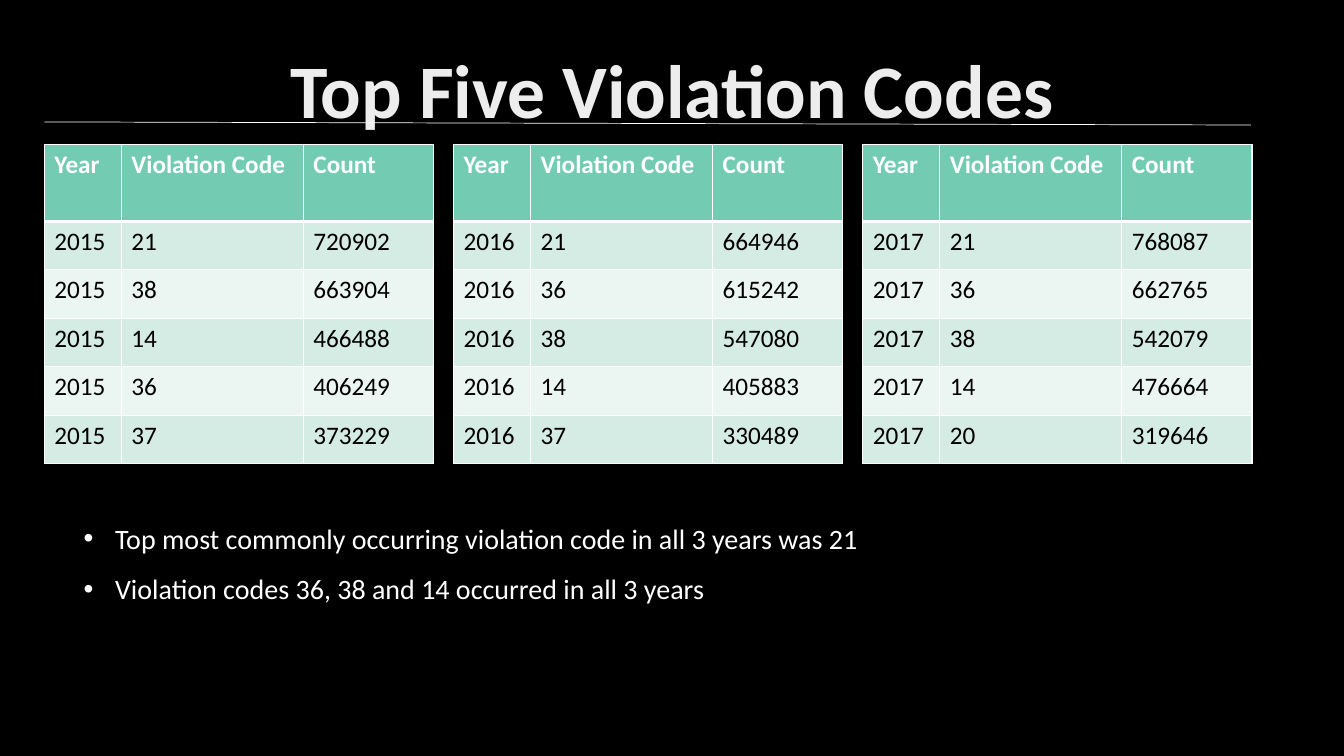
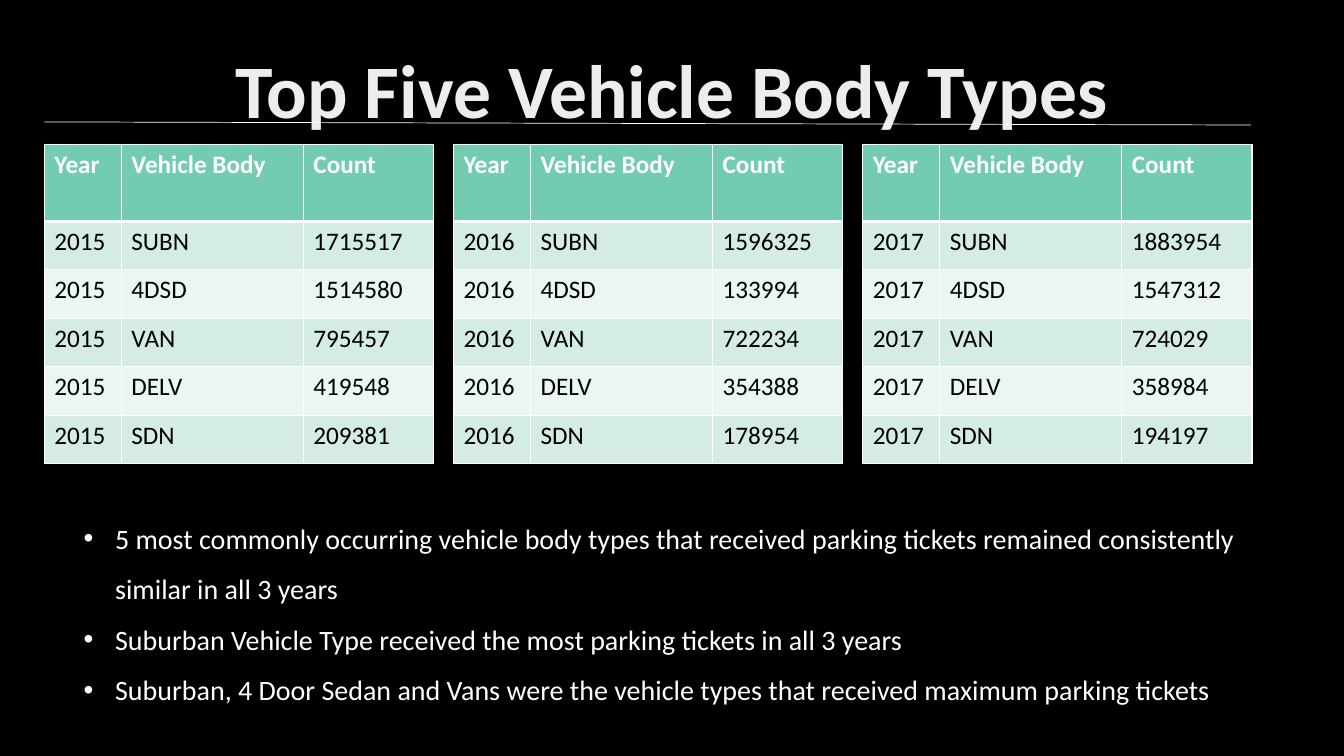
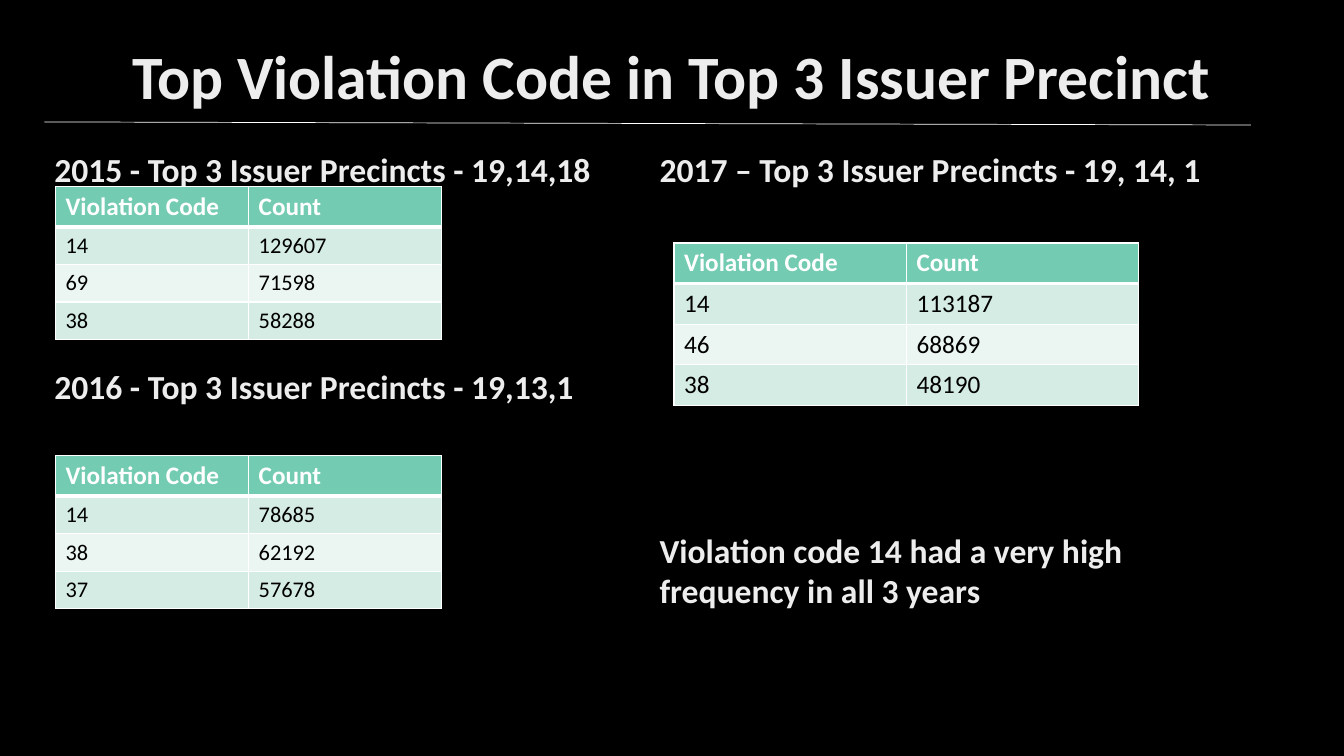
"""Build three slides of parking violation tables on a black background."""
from lxml.etree import SubElement
from pptx import Presentation
from pptx.dml.color import RGBColor
from pptx.enum.shapes import MSO_CONNECTOR
from pptx.enum.text import MSO_ANCHOR, MSO_AUTO_SIZE, PP_ALIGN
from pptx.oxml import parse_xml
from pptx.oxml.ns import nsdecls, qn
from pptx.util import Pt

BLACK = RGBColor(0x00, 0x00, 0x00)
WHITE = RGBColor(0xFF, 0xFF, 0xFF)
SILVER = RGBColor(0xED, 0xED, 0xED)
TEAL = RGBColor(0x73, 0xCB, 0xB2)
BANDS = (RGBColor(0xD5, 0xEC, 0xE4), RGBColor(0xEB, 0xF6, 0xF2))
FONT = "Calibri"

LEFT = 31.7
TABLE_TOP = 103
YEAR_PITCH = 292.3
YEAR_COLUMNS = (55, 130, 93)
YEAR_ROWS = (55.2, 34.6)
BULLET_INDENT = 22.5

YEAR_SLIDES = [
    {
        "title": "Top Five Violation Codes",
        "column": "Violation Code",
        "years": {
            "2015": [("21", "720902"), ("38", "663904"), ("14", "466488"),
                     ("36", "406249"), ("37", "373229")],
            "2016": [("21", "664946"), ("36", "615242"), ("38", "547080"),
                     ("14", "405883"), ("37", "330489")],
            "2017": [("21", "768087"), ("36", "662765"), ("38", "542079"),
                     ("14", "476664"), ("20", "319646")],
        },
        "findings": [
            "Top most commonly occurring violation code in all 3 years was 21",
            "Violation codes 36, 38 and 14 occurred in all 3 years",
        ],
        "findings_height": 77,
    },
    {
        "title": "Top Five Vehicle Body Types",
        "column": "Vehicle Body",
        "years": {
            "2015": [("SUBN", "1715517"), ("4DSD", "1514580"), ("VAN", "795457"),
                     ("DELV", "419548"), ("SDN", "209381")],
            "2016": [("SUBN", "1596325"), ("4DSD", "133994"), ("VAN", "722234"),
                     ("DELV", "354388"), ("SDN", "178954")],
            "2017": [("SUBN", "1883954"), ("4DSD", "1547312"), ("VAN", "724029"),
                     ("DELV", "358984"), ("SDN", "194197")],
        },
        "findings": [
            "5 most commonly occurring vehicle body types that received parking "
            "tickets remained consistently similar in all 3 years",
            "Suburban Vehicle Type received the most parking tickets in all 3 years",
            "Suburban, 4 Door Sedan and Vans were the vehicle types that received "
            "maximum parking tickets",
        ],
        "findings_height": 153,
    },
]

PRECINCT_TITLE = "Top Violation Code in Top 3 Issuer Precinct"
PRECINCT_HEADER = ("Violation Code", "Count")
PRECINCT_TEXTS = [
    ("2015 - Top 3 Issuer Precincts - 19,14,18", LEFT, 103, 37),
    ("2016 - Top 3 Issuer Precincts - 19,13,1", LEFT, 258, 37),
    ("2017 – Top 3 Issuer Precincts - 19, 14, 1", 464, 103, 37),
    ("Violation code 14 had a very high frequency in all 3 years", 464, 375, 66),
]
PRECINCT_TABLES = [
    {"rows": [("14", "129607"), ("69", "71598"), ("38", "58288")],
     "at": (39.6, 133.2), "columns": (138, 138), "heights": (29, 26.8), "size": 16},
    {"rows": [("14", "78685"), ("38", "62192"), ("37", "57678")],
     "at": (39.6, 325.5), "columns": (138, 138), "heights": (29, 26.8), "size": 16},
    {"rows": [("14", "113187"), ("46", "68869"), ("38", "48190")],
     "at": (481.5, 173.5), "columns": (166, 166), "heights": (29, 29), "size": 18},
]


def set_font(paragraph, size, color, bold=False):
    font = paragraph.font
    font.name, font.size, font.bold = FONT, Pt(size), bold
    font.color.rgb = color


def add_titled_slide(prs, text, size, bottom_inset):
    slide = prs.slides.add_slide(prs.slide_layouts[5])
    title = slide.shapes.title
    title.left, title.top, title.width, title.height = Pt(66), Pt(29), Pt(828), Pt(104)
    frame = title.text_frame
    frame.text = text
    frame.auto_size = MSO_AUTO_SIZE.NONE
    frame.vertical_anchor = MSO_ANCHOR.MIDDLE
    frame.margin_bottom = Pt(bottom_inset)
    heading = frame.paragraphs[0]
    heading.alignment = PP_ALIGN.CENTER
    heading.line_spacing = 0.9
    set_font(heading, size, SILVER, True)

    rule = slide.shapes.add_connector(
        MSO_CONNECTOR.STRAIGHT, Pt(LEFT), Pt(87.1), Pt(893.5), Pt(89.3))
    rule.line.color.rgb = WHITE
    rule.line.width = Pt(0.5)
    SubElement(rule._element.spPr, qn("a:effectLst"))
    return slide


def set_borders(cell, top, bottom):
    properties = cell._tc.get_or_add_tcPr()
    sides = (("lnL", 1), ("lnR", 1), ("lnT", top), ("lnB", bottom))
    for position, (side, width) in enumerate(sides):
        properties.insert(position, parse_xml(
            f'<a:{side} {nsdecls("a")} w="{Pt(width)}"><a:solidFill>'
            f'<a:srgbClr val="{WHITE}"/></a:solidFill></a:{side}>'))


def add_data_table(slide, header, rows, at, columns, heights, size):
    header_height, row_height = heights
    table = slide.shapes.add_table(
        len(rows) + 1, len(columns), Pt(at[0]), Pt(at[1]), Pt(sum(columns)),
        Pt(header_height + row_height * len(rows))).table
    for column, width in zip(table.columns, columns):
        column.width = Pt(width)
    for r, values in enumerate([header, *rows]):
        is_header = r == 0
        table.rows[r].height = Pt(header_height if is_header else row_height)
        for c, value in enumerate(values):
            cell = table.cell(r, c)
            cell.text = value
            cell.fill.solid()
            cell.fill.fore_color.rgb = TEAL if is_header else BANDS[(r - 1) % 2]
            set_font(cell.text_frame.paragraphs[0], 18 if is_header else size,
                     WHITE if is_header else BLACK, is_header)
            set_borders(cell, 3 if r == 1 else 1, 3 if is_header else 1)


def add_text(slide, left, top, width, height, lines):
    frame = slide.shapes.add_textbox(Pt(left), Pt(top), Pt(width), Pt(height)).text_frame
    frame.word_wrap = True
    frame.text = "\n".join(lines)
    return frame.paragraphs


def add_findings(slide, findings, height):
    for finding in add_text(slide, 52.6, 357, 841, height, findings):
        finding.line_spacing = 1.5
        set_font(finding, 20, WHITE)
        properties = finding._p.get_or_add_pPr()
        properties.set("marL", str(Pt(BULLET_INDENT)))
        properties.set("indent", str(-Pt(BULLET_INDENT)))
        bullet_font = parse_xml(f'<a:buFont {nsdecls("a")} typeface="Arial"/>')
        bullet = parse_xml(f'<a:buChar {nsdecls("a")} char="•"/>')
        properties.find(qn("a:defRPr")).addprevious(bullet_font)
        bullet_font.addnext(bullet)


def add_year_slide(prs, content):
    slide = add_titled_slide(prs, content["title"], 54, 32)
    header = ("Year", content["column"], "Count")
    for i, (year, counts) in enumerate(content["years"].items()):
        rows = [(year, *count) for count in counts]
        add_data_table(slide, header, rows, (LEFT + i * YEAR_PITCH, TABLE_TOP),
                       YEAR_COLUMNS, YEAR_ROWS, 18)
    add_findings(slide, content["findings"], content["findings_height"])


def add_precinct_slide(prs):
    slide = add_titled_slide(prs, PRECINCT_TITLE, 44, 52)
    for text, left, top, height in PRECINCT_TEXTS:
        set_font(add_text(slide, left, top, 420, height, [text])[0], 24, SILVER, True)
    for precinct in PRECINCT_TABLES:
        add_data_table(slide, PRECINCT_HEADER, **precinct)


def main():
    prs = Presentation()
    prs.slide_width, prs.slide_height = Pt(960), Pt(540)
    background = prs.slide_master.background.fill
    background.solid()
    background.fore_color.rgb = BLACK
    for content in YEAR_SLIDES:
        add_year_slide(prs, content)
    add_precinct_slide(prs)
    prs.save("out.pptx")


if __name__ == "__main__":
    main()
